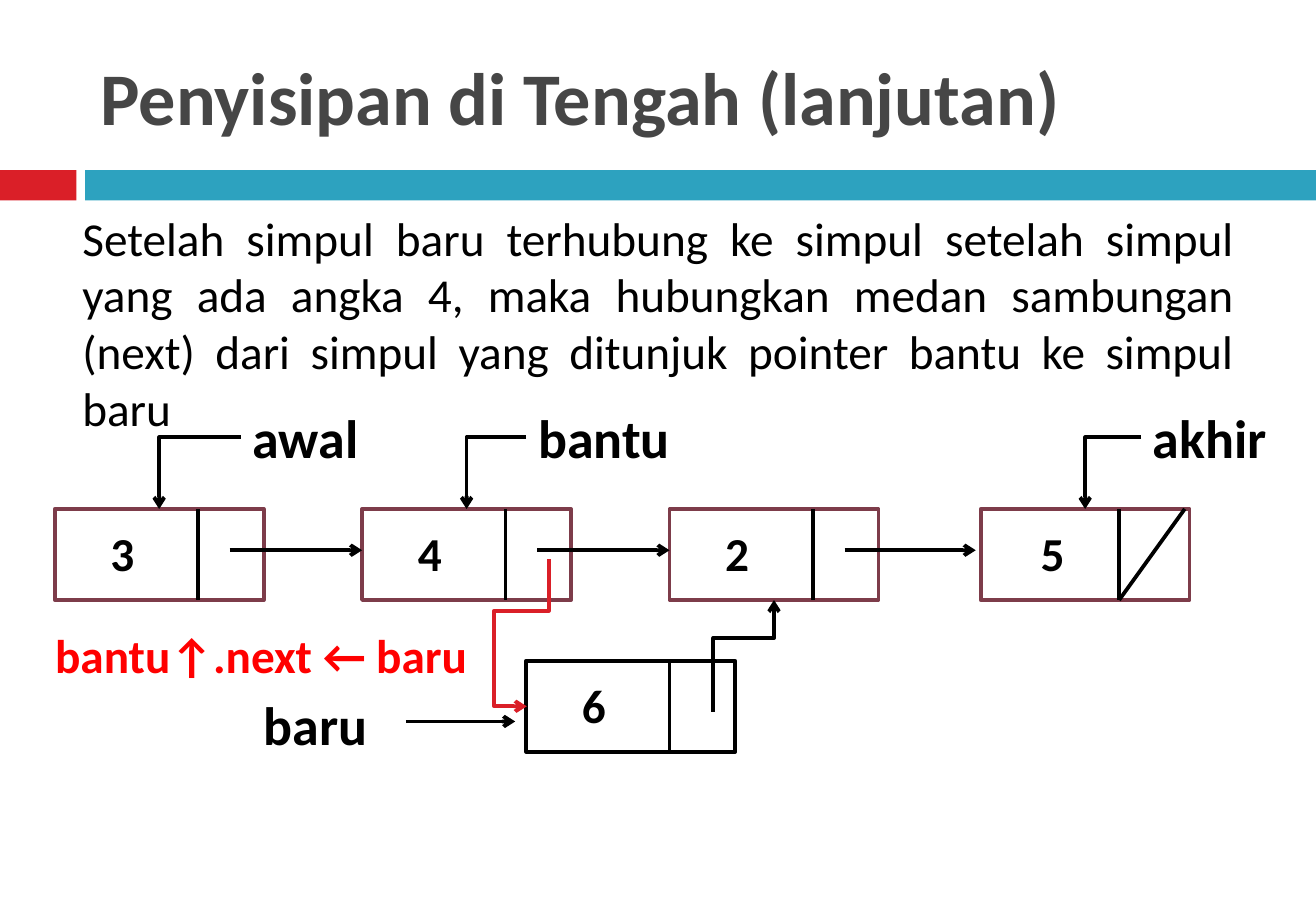
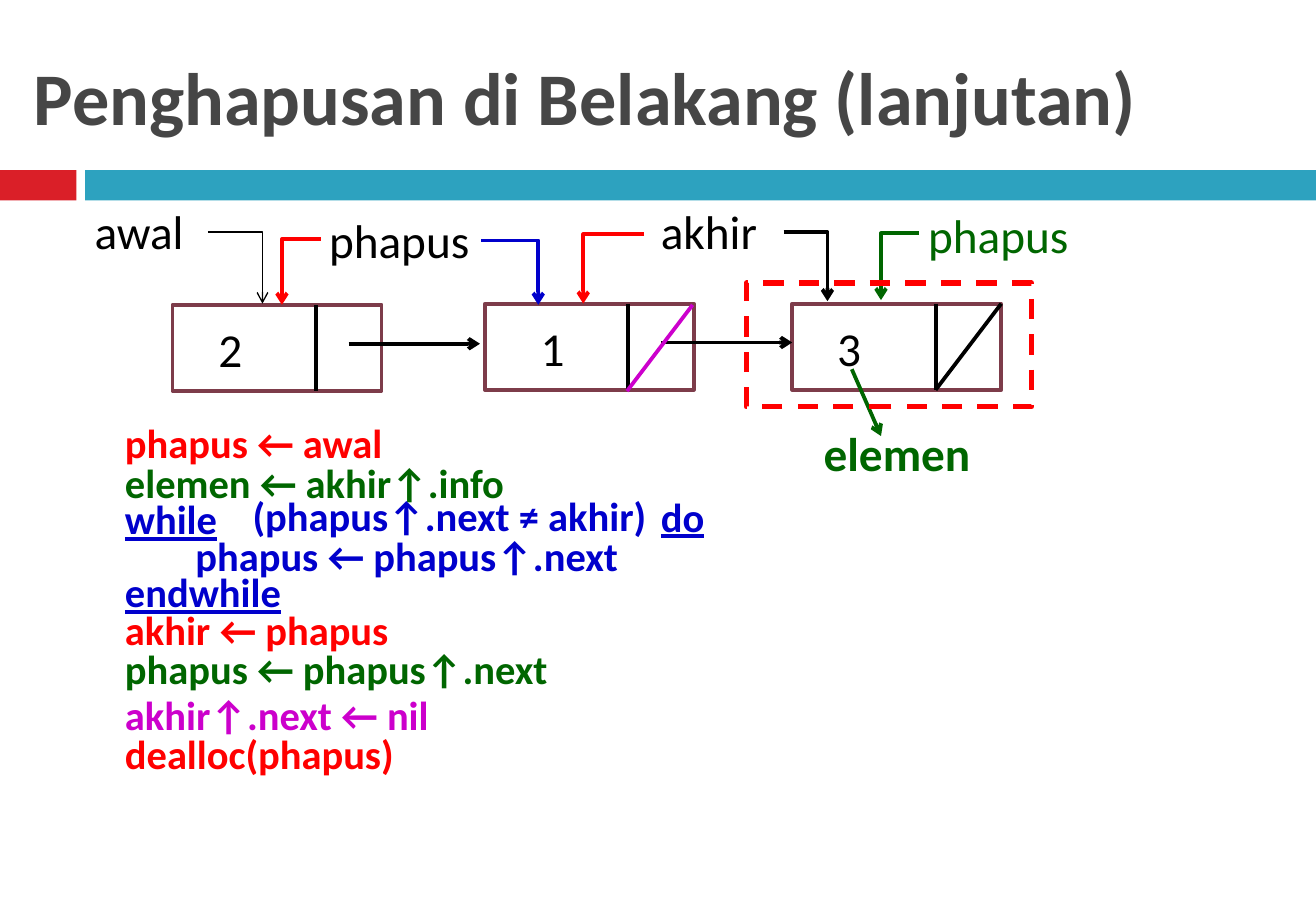
"""Build two slides on inserting into and deleting from a linked list."""
from dataclasses import dataclass

from lxml import etree
from pptx import Presentation
from pptx import util as u
from pptx.dml.color import RGBColor
from pptx.enum import dml, shapes, text
from pptx.oxml.ns import qn

Inches = u.Inches


@dataclass(frozen=True)
class Theme:
    font: str = "Calibri"
    title: str = "464646"
    accent: str = "DA1F28"
    band: str = "2DA2BF"
    frame: str = "7D3C4A"
    black: str = "000000"
    white: str = "FFFFFF"
    red: str = "FF0000"
    green: str = "006600"
    blue: str = "0000CC"
    pink: str = "CC00CC"
    head: int = 44
    label: int = 32
    body: int = 28
    code: int = 24
    line: float = 2.25
    thin: float = 0.79
    thick: float = 3


T = Theme()
LEFT = text.PP_ALIGN.LEFT
RIGHT = text.PP_ALIGN.RIGHT
NODE_W = 1.72


def write(slide, box, words, size=T.body, color=T.black, bold=True,
          align=LEFT, under=False):
    shape = slide.shapes.add_textbox(*map(Inches, box))
    frame = shape.text_frame
    frame.word_wrap = True
    para = frame.paragraphs[0]
    para.text = words
    para.alignment = align
    font = para.font
    font.name, font.size, font.bold = T.font, u.Pt(size), bold
    font.underline = under
    font.color.rgb = RGBColor.from_string(color)
    return frame


def rect(slide, box, fill=None, line=None, width=T.line, dash=False):
    shape = slide.shapes.add_shape(shapes.MSO_SHAPE.RECTANGLE,
                                   *map(Inches, box))
    shape.shadow.inherit = False
    if fill:
        shape.fill.solid()
        shape.fill.fore_color.rgb = RGBColor.from_string(fill)
    else:
        shape.fill.background()
    if line:
        shape.line.color.rgb = RGBColor.from_string(line)
        shape.line.width = u.Pt(width)
    else:
        shape.line.fill.background()
    if dash:
        shape.line.dash_style = dml.MSO_LINE.DASH


def link(slide, start, end, color=T.black, width=T.line, arrow=True,
         kind=shapes.MSO_CONNECTOR.STRAIGHT):
    line = slide.shapes.add_connector(kind, *map(Inches, (*start, *end)))
    line.line.color.rgb = RGBColor.from_string(color)
    line.line.width = u.Pt(width)
    props = line.element.spPr
    if arrow:
        etree.SubElement(props.find(qn("a:ln")), qn("a:tailEnd"), type="arrow")
    etree.SubElement(props, qn("a:effectLst"))
    return props


def elbow(slide, box, bends, turn=0, flips="", color=T.black, width=T.line,
          adjust=()):
    x, y, wide, high = box
    props = link(slide, (x, y), (x + wide, y + high), color, width,
                 kind=shapes.MSO_CONNECTOR.ELBOW)
    frame = props.find(qn("a:xfrm"))
    frame.set("rot", str(turn * 60000))
    for flip in flips:
        frame.set("flip" + flip, "1")
    shape = props.find(qn("a:prstGeom"))
    shape.set("prst", f"bentConnector{bends + 1}")
    guides = shape.find(qn("a:avLst"))
    for i, share in enumerate(adjust, 1):
        etree.SubElement(guides, qn("a:gd"), name=f"adj{i}",
                         fmla=f"val {round(share * 100000)}")


def hook(slide, start, end, color=T.black, width=T.line):
    (x1, y1), (x2, y2) = start, end
    box = min(x1, x2), y1, abs(x2 - x1), y2 - y1
    turn, flips = (180, "V") if x2 < x1 else (0, "")
    elbow(slide, box, 1, turn, flips, color, width)


def node(slide, x, y, high, digit, gap=0.36, bold=True, line=T.frame,
         align=LEFT, last=False, part=1.18, slash=NODE_W):
    rect(slide, (x, y, NODE_W, high), T.white, line)
    split = x + part
    link(slide, (split, y), (split, y + high), arrow=False)
    if last:
        link(slide, (x + slash, y), (split, y + high), arrow=False)
    write(slide, (x + gap, y + 0.08, 0.63, 0.57), digit, bold=bold, align=align)


def page(deck, title, x):
    slide = deck.slides.add_slide(deck.slide_layouts[6])
    rect(slide, (0, 1.4, 0.63, 0.25), T.accent)
    rect(slide, (0.7, 1.4, 10.13, 0.25), T.band)
    frame = write(slide, (x, 0.25, 9.66, 1.08), title, T.head, T.title)
    frame.vertical_anchor = text.MSO_ANCHOR.MIDDLE
    return slide


def insert(deck):
    slide = page(deck, "Penyisipan di Tengah (lanjutan)", 0.73)
    write(slide, (0.58, 1.67, 9.67, 2),
          "Setelah simpul baru terhubung ke simpul setelah simpul yang ada "
          "angka 4, maka hubungkan medan sambungan (next) dari simpul yang "
          "ditunjuk pointer bantu ke simpul baru",
          bold=False, align=text.PP_ALIGN.JUSTIFY)
    write(slide, (0.34, 5.11, 3.6, 0.58), "bantu↑.next ← baru",
          color=T.red, align=RIGHT)

    top, high = 4.19, 0.75
    for x, digit in ((0.45, "3"), (2.98, "4"), (5.51, "2")):
        node(slide, x, top, high, digit)
    node(slide, 8.07, top, high, "5", gap=0.16, align=RIGHT, last=True,
         part=1.14, slash=1.68)
    node(slide, 4.33, 5.44, high, "6", line=T.black)

    for x, end in ((1.89, 2.98), (4.42, 5.51), (6.95, 8.03)):
        link(slide, (x, 4.53), (end, 4.53))
    for x, wide, word, tip in ((1.98, 1.26, "awal", 1.31),
                               (4.33, 1.44, "bantu", 3.84),
                               (9.39, 1.26, "akhir", 8.93)):
        write(slide, (x, 3.28, wide, 0.64), word, T.label)
        hook(slide, (x, 3.6), (tip, top))

    write(slide, (2.07, 5.64, 1.26, 0.64), "baru", T.label)
    link(slide, (3.34, 5.94), (4.24, 5.94))
    elbow(slide, (5.66, 5.15, 0.92, 0.5), 2, 90, "HV", adjust=(0.66,))
    elbow(slide, (3.82, 5.12, 1.21, 0.18), 3, 90, color=T.accent,
          adjust=(0.35, 2.5))


def delete(deck):
    slide = page(deck, "Penghapusan di Belakang (lanjutan)", 0.18)
    for x, y, wide, word, color in ((0.68, 1.62, 1.03, "awal", T.black),
                                    (2.61, 1.69, 1.45, "phapus", T.black),
                                    (5.34, 1.62, 1.26, "akhir", T.black),
                                    (7.54, 1.65, 1.51, "phapus", T.green)):
        write(slide, (x, y, wide, 0.57), word, color=color, bold=False)
    write(slide, (6.68, 3.44, 1.62, 0.57), "elemen", color=T.green)

    top, high = 2.5, 0.71
    node(slide, 1.42, 2.51, high, "2", gap=0.28, bold=False)
    node(slide, 3.99, top, high, "1", bold=False)
    node(slide, 6.52, top, high, "3", gap=0.27, bold=False, last=True)
    link(slide, (2.87, 2.83), (3.95, 2.83))
    link(slide, (5.44, 2.82), (6.52, 2.82))
    link(slide, (5.7, 2.51), (5.16, 3.22), T.pink, arrow=False)
    link(slide, (7.01, 3.04), (7.25, 3.59), T.green)

    hook(slide, (1.71, 1.91), (2.16, 2.5), width=T.thin)
    for start, end, color in (((2.64, 1.97), (2.32, 2.51), T.red),
                              ((3.96, 1.98), (4.43, 2.51), T.blue),
                              ((5.3, 1.93), (4.8, 2.5), T.red),
                              ((6.45, 1.91), (6.81, 2.48), T.black),
                              ((7.56, 1.92), (7.25, 2.47), T.green)):
        hook(slide, start, end, color)
    rect(slide, (6.14, 2.33, 2.35, 1.02), line=T.red, width=T.thick, dash=True)

    code = ((0.93, 3.39, 2.81, "phapus ← awal", T.red),
            (0.93, 3.72, 3.85, "elemen ← akhir↑.info", T.green),
            (0.93, 4.02, 1.1, "while", T.blue),
            (1.98, 3.99, 3.99, "(phapus↑.next ≠ akhir)", T.blue),
            (5.34, 4, 0.66, "do", T.blue),
            (1.51, 4.32, 4.3, "phapus ← phapus↑.next", T.blue),
            (0.93, 4.62, 5.49, "endwhile", T.blue),
            (0.93, 4.93, 3.13, "akhir ← phapus", T.red),
            (0.93, 5.25, 4.3, "phapus ← phapus↑.next", T.green),
            (0.93, 5.63, 3.52, "akhir↑.next ← nil", T.pink),
            (0.93, 5.95, 3.2, "dealloc(phapus)", T.red))
    for x, y, wide, words, color in code:
        write(slide, (x, y, wide, 0.5), words, T.code, color,
              under=words in ("while", "do", "endwhile"))


def main():
    deck = Presentation()
    deck.slide_width, deck.slide_height = Inches(10.83), Inches(7.5)
    insert(deck)
    delete(deck)
    deck.save("out.pptx")


main()
